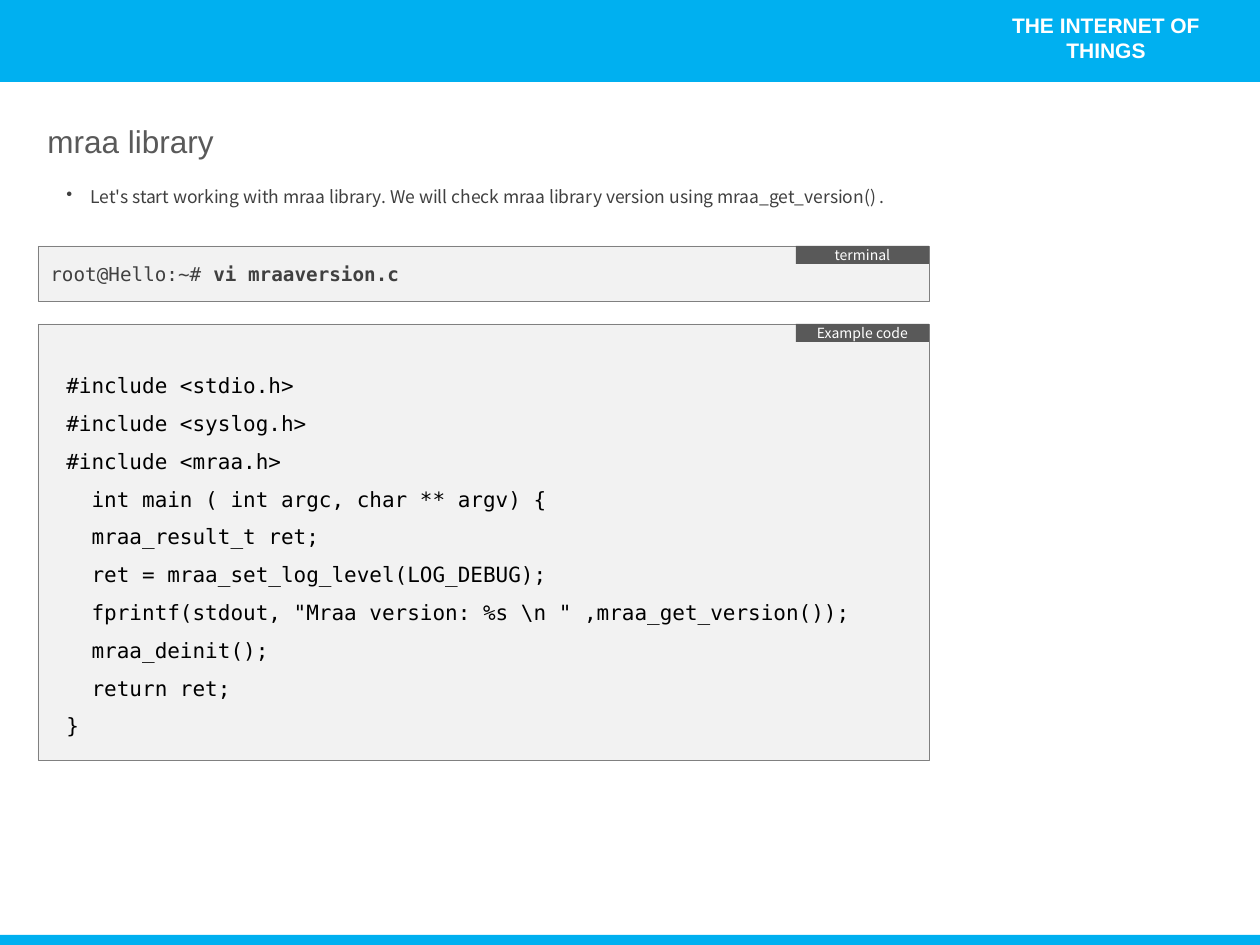
from lxml import etree
from pptx import Presentation, util as u
from pptx.dml.color import RGBColor
from pptx.enum import shapes, text
from pptx.oxml import ns

PX = 914400 / 126
ACCENT, PANEL, BORDER = "00B0F0", "F2F2F2", "808080"
DARK, BODY, WHITE, BLACK = "595959", "404040", "FFFFFF", "000000"
SANS, MONO, KOREAN = "Arial", "DejaVu Sans Mono", "Noto Sans CJK KR"

CODE = r'''#include <stdio.h>
#include <syslog.h>
#include <mraa.h>
  int main ( int argc, char ** argv) {
  mraa_result_t ret;
  ret = mraa_set_log_level(LOG_DEBUG);
  fprintf(stdout, "Mraa version: %s \n " ,mraa_get_version());
  mraa_deinit();
  return ret;
}'''


def px(*lengths):
    return [u.Emu(round(length * PX)) for length in lengths]


def color(target, value):
    target.rgb = RGBColor.from_string(value)


def add_rect(parent, box, fill, line=None):
    shape = parent.add_shape(shapes.MSO_SHAPE.RECTANGLE, *px(*box))
    shape.shadow.inherit = False
    shape.fill.solid()
    color(shape.fill.fore_color, fill)
    if line:
        color(shape.line.color, line)
        shape.line.width = u.Pt(0.25)
    else:
        shape.line.fill.background()
    return shape


def add_bullet(paragraph, indent):
    properties = paragraph._p.get_or_add_pPr()
    properties.set("marL", str(indent))
    properties.set("indent", str(-indent))
    etree.SubElement(properties, ns.qn("a:buChar")).set("char", "•")


def write(shape, content, *, size, font, fill, bold_tail="", bold=False,
          align="LEFT", anchor="TOP", spacing=None, bullet=None):
    """Write one paragraph per line; bold_tail follows the last line in bold."""
    frame = shape.text_frame
    frame.word_wrap = True
    frame.vertical_anchor = getattr(text.MSO_ANCHOR, anchor)
    for index, line in enumerate(content.split("\n")):
        paragraph = frame.add_paragraph() if index else frame.paragraphs[0]
        paragraph.alignment = getattr(text.PP_ALIGN, align)
        if spacing:
            paragraph.line_spacing = spacing
        if bullet:
            add_bullet(paragraph, *px(bullet))
        paragraph.add_run().text = line
    if bold_tail:
        tail = paragraph.add_run()
        tail.text = bold_tail
        tail.font.bold = True
    for paragraph in frame.paragraphs:
        paragraph.font.size = u.Pt(size)
        for run in paragraph.runs:
            run.font.size, run.font.name = u.Pt(size), font
            color(run.font.color, fill)
            if bold:
                run.font.bold = True


def add_text(slide, box, content, **style):
    write(slide.shapes.add_textbox(*px(*box)), content, **style)


def add_bands(slide, width, height):
    add_rect(slide.shapes, (0, -4, width, 86), ACCENT)
    add_text(slide, (width - 299, 6, 290, 38), "THE INTERNET OF THINGS",
             size=12, font=SANS, fill=WHITE, bold=True, align="CENTER")
    add_rect(slide.shapes, (0, height - 10, width, 10), ACCENT)


def add_heading(slide, left, top):
    add_text(slide, (left, top, 200, 50), "mraa library",
             size=18, font=SANS, fill=DARK)
    add_text(slide, (left + 19, top + 53, 1191, 40),
             "Let's start working with mraa library. We will check mraa "
             "library version using mraa_get_version() .",
             size=10, font=KOREAN, fill=BODY, spacing=1.5, bullet=24)


def add_panel(slide, box, label):
    """Add a bordered panel with a dark label in its top right corner."""
    left, top, width, _ = box
    group = slide.shapes.add_group_shape()
    panel = add_rect(group.shapes, box, PANEL, BORDER)
    tag = add_rect(group.shapes, (left + width - 133, top, 133, 18), DARK)
    write(tag, label, size=8, font=KOREAN, fill=WHITE,
          align="CENTER", anchor="MIDDLE")
    return panel


def add_terminal(slide, box):
    write(add_panel(slide, box, "terminal"), "root@Hello:~# ",
          bold_tail="vi mraaversion.c", size=11, font=MONO, fill=BODY,
          anchor="MIDDLE")


def add_code(slide, box):
    left, top, width, height = box
    add_panel(slide, box, "Example code")
    add_text(slide, (left + 16, top + 30, width - 58, height - 42), CODE,
             size=12, font=MONO, fill=BLACK, spacing=1.5)


def main():
    presentation = Presentation()
    width, height = 1260, 945
    presentation.slide_width, presentation.slide_height = px(width, height)
    slide = presentation.slides.add_slide(presentation.slide_layouts[6])
    add_bands(slide, width, height)
    add_heading(slide, 35, 116)
    add_terminal(slide, (38, 246, 891, 55))
    add_code(slide, (38, 324, 891, 436))
    presentation.save("out.pptx")


if __name__ == "__main__":
    main()
